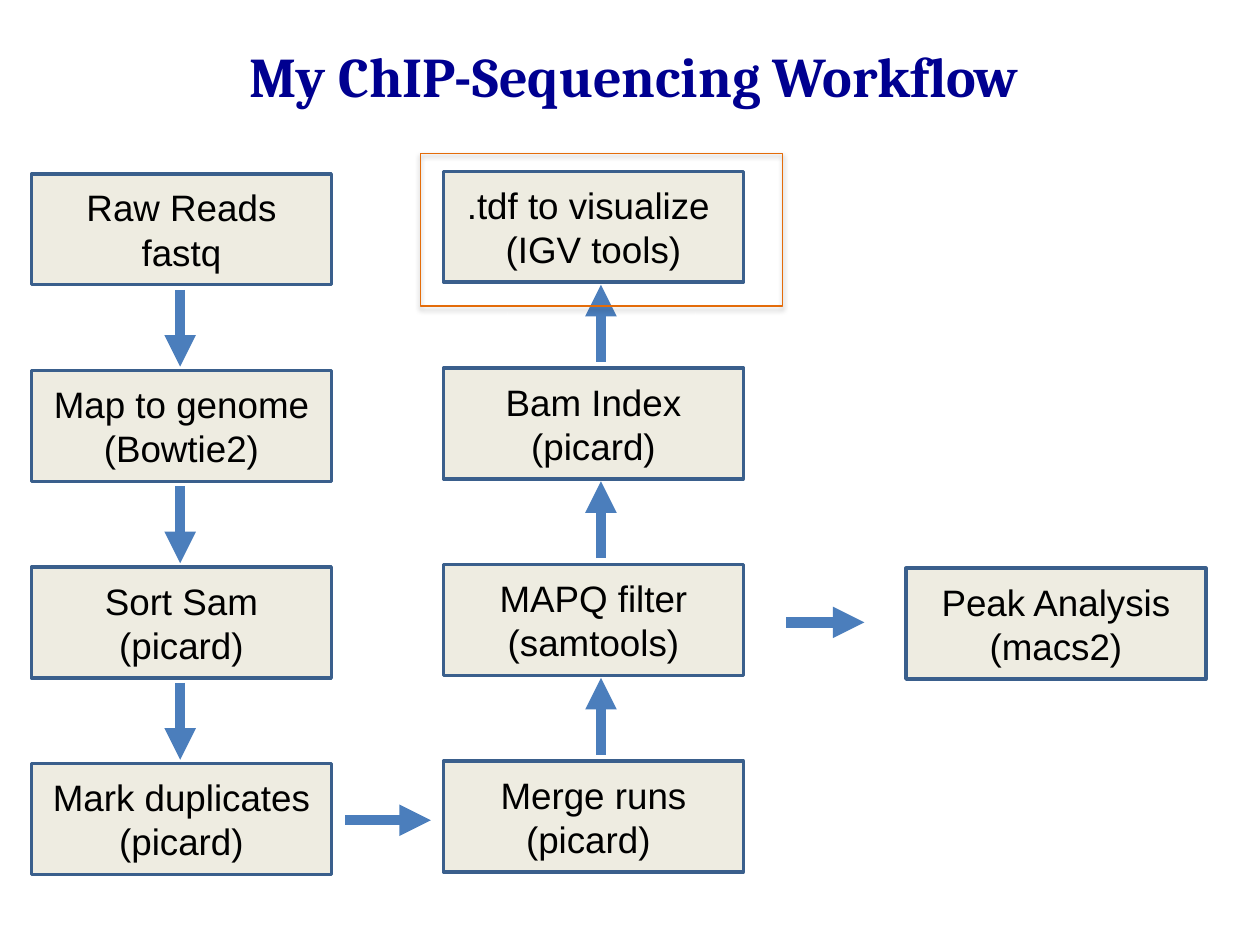
"""Build the ChIP-sequencing workflow slide."""
from dataclasses import dataclass

from lxml import etree
from pptx import Presentation
from pptx import util as u
from pptx.dml.color import RGBColor
from pptx.enum import shapes, text
from pptx.oxml import ns

NAVY = RGBColor(0x00, 0x00, 0x90)
BLACK = RGBColor(0x00, 0x00, 0x00)
CREAM = RGBColor(0xEE, 0xEC, 0xE1)
EDGE = RGBColor(0x3A, 0x5F, 0x8C)
BLUE = RGBColor(0x4B, 0x7E, 0xBC)
ORANGE = RGBColor(0xE4, 0x6C, 0x0A)

WIDE, HIGH = 2.38, 0.88
BODY = {"name": "Arial", "size": u.Pt(21)}
TITLE = {"name": "Cambria", "size": u.Pt(32), "bold": True}


@dataclass(frozen=True)
class Step:
    label: str
    left: float
    top: float
    inset: float = 0.1


@dataclass(frozen=True)
class Arrow:
    x1: float
    y1: float
    x2: float
    y2: float


@dataclass(frozen=True)
class Lane:
    labels: tuple[str, ...]
    left: float
    top: float
    pitch: float
    axis: float
    start: float
    end: float

    def steps(self) -> list[Step]:
        return [Step(label, self.left, self.top + i * self.pitch)
                for i, label in enumerate(self.labels)]

    def arrows(self) -> list[Arrow]:
        tops = [step.top for step in self.steps()[:-1]]
        return [Arrow(self.axis, top + self.start, self.axis, top + self.end)
                for top in tops]


LANES = (
    Lane(("Raw Reads\nfastq", "Map to genome (Bowtie2)",
          "Sort Sam\n(picard)", "Mark duplicates\n(picard)"),
         0.25, 1.38, 1.56, 1.43, 0.92, 1.53),
    Lane((".tdf to visualize \n(IGV tools)", "Bam Index (picard)",
          "MAPQ filter (samtools)", "Merge runs\n(picard) "),
         3.52, 1.36, 1.56, 4.77, 1.51, 0.9),
)
PEAK = Step("Peak Analysis\n(macs2)", 7.19, 4.51, 0)
LINKS = (Arrow(2.74, 6.51, 3.42, 6.51), Arrow(6.24, 4.94, 6.86, 4.94))


def add_text(frame, words: str, style: dict, color: RGBColor) -> None:
    frame.text = words
    for para in frame.paragraphs:
        para.alignment = text.PP_ALIGN.CENTER
        for key, value in style.items():
            setattr(para.font, key, value)
        para.font.color.rgb = color


def add_rect(slide, left: float, top: float, wide: float, high: float,
             color: RGBColor, width: float):
    rect = slide.shapes.add_shape(
        shapes.MSO_SHAPE.RECTANGLE,
        *map(u.Inches, (left, top, wide, high)))
    rect.shadow.inherit = False
    rect.line.color.rgb = color
    rect.line.width = u.Pt(width)
    return rect


def add_step(slide, step: Step) -> None:
    box = add_rect(slide, step.left, step.top, WIDE, HIGH, EDGE, 2)
    box.fill.solid()
    box.fill.fore_color.rgb = CREAM
    frame = box.text_frame
    form = {"word_wrap": True, "vertical_anchor": text.MSO_ANCHOR.MIDDLE,
            "margin_left": u.Inches(step.inset),
            "margin_right": u.Inches(step.inset)}
    for key, value in form.items():
        setattr(frame, key, value)
    add_text(frame, step.label, BODY, BLACK)


def add_arrow(slide, arrow: Arrow) -> None:
    ends = map(u.Inches, (arrow.x1, arrow.y1, arrow.x2, arrow.y2))
    line = slide.shapes.add_connector(shapes.MSO_CONNECTOR.STRAIGHT, *ends)
    line.line.color.rgb = BLUE
    line.line.width = u.Pt(6)
    props = line._element.spPr
    etree.SubElement(props.find(ns.qn("a:ln")), ns.qn("a:tailEnd"),
                     type="triangle")
    etree.SubElement(props, ns.qn("a:effectLst"))


def add_focus(slide) -> None:
    box = add_rect(slide, 3.34, 1.22, 2.87, 1.21, ORANGE, 0.75)
    box.fill.background()
    glow = box._element.spPr.find(ns.qn("a:effectLst"))
    shade = etree.SubElement(
        glow, ns.qn("a:outerShdw"), blurRad=str(u.Pt(3.1)),
        dist=str(u.Pt(1.8)), dir="5400000", rotWithShape="0")
    tint = etree.SubElement(shade, ns.qn("a:srgbClr"), val=str(BLACK))
    etree.SubElement(tint, ns.qn("a:alpha"), val="35000")


def add_title(slide) -> None:
    box = slide.shapes.add_textbox(
        *map(u.Inches, (1.86, 0.28, 6.35, 0.64)))
    box.text_frame.word_wrap = False
    box.text_frame.auto_size = text.MSO_AUTO_SIZE.SHAPE_TO_FIT_TEXT
    add_text(box.text_frame, "My ChIP-Sequencing Workflow", TITLE, NAVY)


def main() -> None:
    deck = Presentation()
    deck.slide_width, deck.slide_height = u.Inches(10), u.Inches(7.5)
    slide = deck.slides.add_slide(deck.slide_layouts[6])
    for lane in LANES:
        for step in lane.steps():
            add_step(slide, step)
        for arrow in lane.arrows():
            add_arrow(slide, arrow)
    add_step(slide, PEAK)
    for link in LINKS:
        add_arrow(slide, link)
    add_title(slide)
    add_focus(slide)
    deck.save("out.pptx")


if __name__ == "__main__":
    main()
